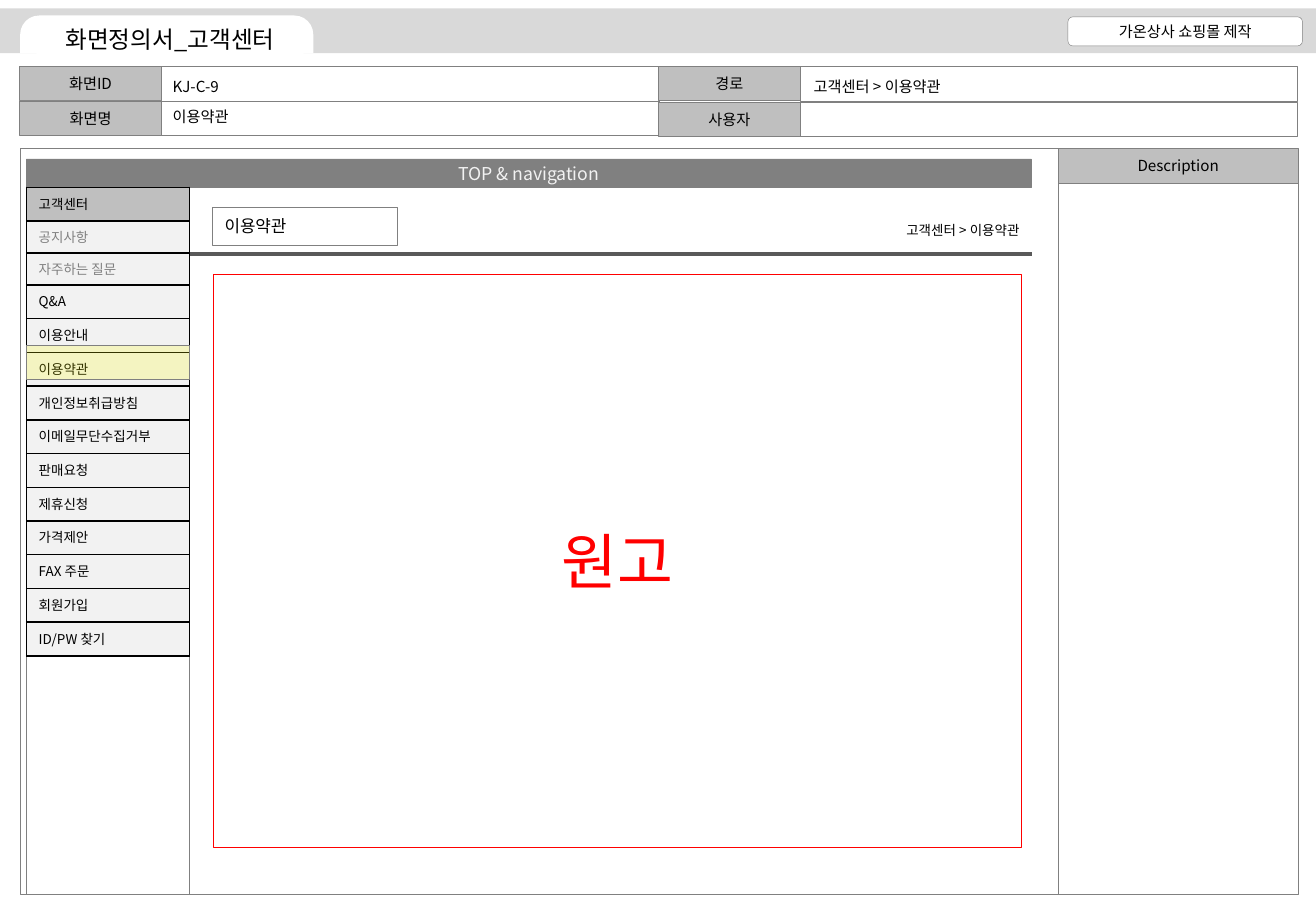
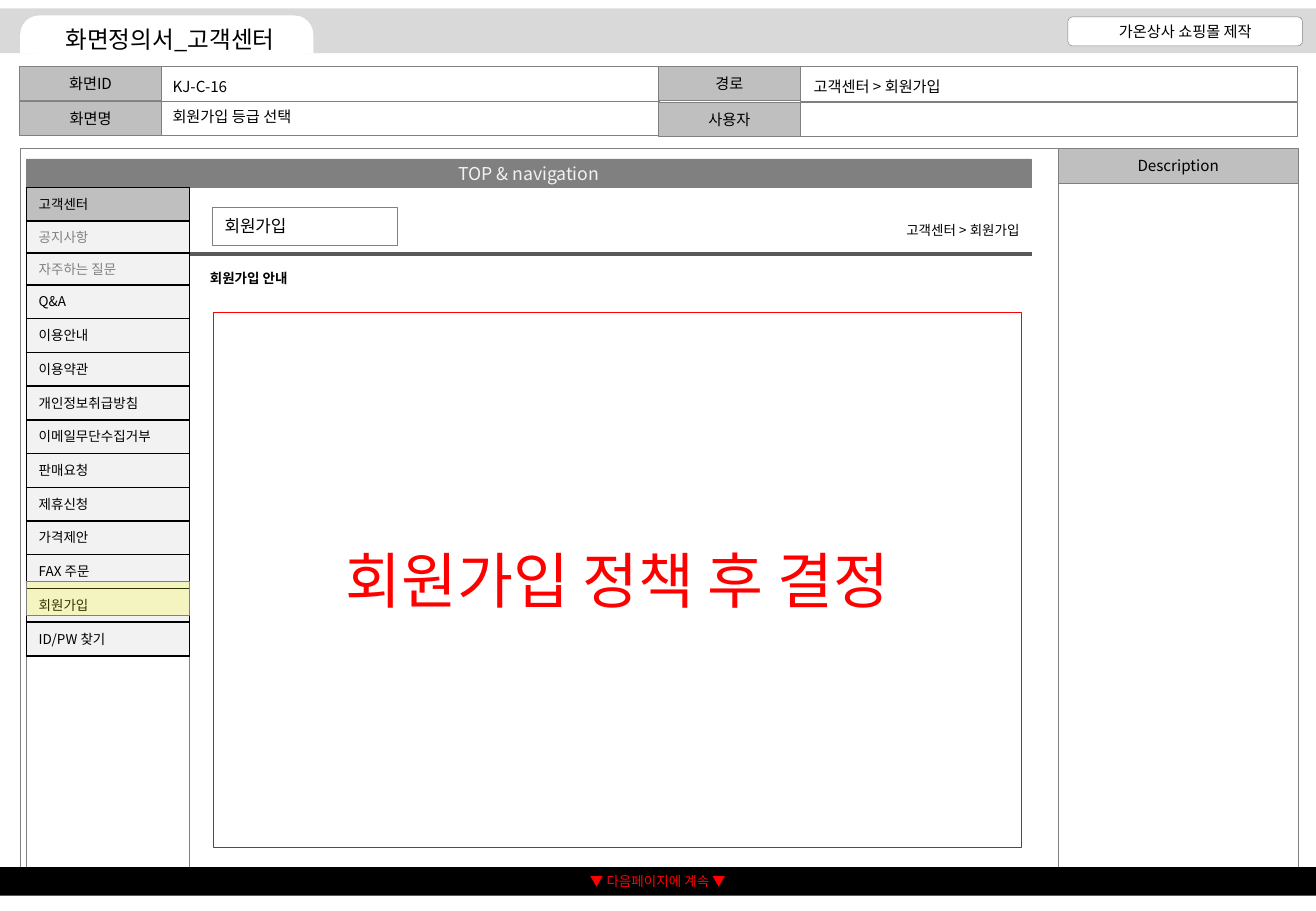
"""Build two screen-definition slides for a customer centre."""
import pptx
import pptx.dml.color
import pptx.enum.shapes
import pptx.enum.text
import pptx.oxml
import pptx.oxml.ns
import pptx.util

Pt = pptx.util.Pt
RGBColor = pptx.dml.color.RGBColor
SHAPE = pptx.enum.shapes.MSO_SHAPE
ALIGN = pptx.enum.text.PP_ALIGN
ANCHOR = pptx.enum.text.MSO_ANCHOR
AUTO_SIZE = pptx.enum.text.MSO_AUTO_SIZE
qn = pptx.oxml.ns.qn

FONT = "Noto Sans CJK KR"
BLACK = RGBColor(0x00, 0x00, 0x00)
WHITE = RGBColor(0xFF, 0xFF, 0xFF)
RED = RGBColor(0xFF, 0x00, 0x00)
YELLOW = RGBColor(0xFF, 0xFF, 0x00)
CHARCOAL = RGBColor(0x59, 0x59, 0x59)
GRAY = RGBColor(0x80, 0x80, 0x80)
SILVER = RGBColor(0xBF, 0xBF, 0xBF)
BAND = RGBColor(0xD9, 0xD9, 0xD9)
PALE = RGBColor(0xF2, 0xF2, 0xF2)

WIDTH, HEIGHT = 780, 540
MENU_LEFT, MENU_TOP, MENU_WIDTH = 15.7, 111, 96.7
MENU = ["고객센터", "공지사항", "자주하는 질문", "Q&A", "이용안내", "이용약관",
        "개인정보취급방침", "이메일무단수집거부", "판매요청", "제휴신청",
        "가격제안", "FAX 주문", "회원가입", "ID/PW 찾기"]
MUTED = ("공지사항", "자주하는 질문")


def write(frame, text, size=9, color=BLACK, bold=False, align=ALIGN.CENTER):
    paragraph = frame.paragraphs[0]
    paragraph.alignment = align
    run = paragraph.add_run()
    run.text = text
    run.font.name = FONT
    run.font.size = Pt(size)
    run.font.bold = bold
    run.font.color.rgb = color
    east_asian = run.font._element.makeelement(qn("a:ea"), {"typeface": FONT})
    run.font._element.find(qn("a:latin")).addnext(east_asian)


def add_child(parent, tag, **attributes):
    child = parent.makeelement(qn(tag), attributes)
    parent.append(child)
    return child


class Screen:
    def __init__(self, presentation):
        self.slide = presentation.slides.add_slide(presentation.slide_layouts[5])
        self.shapes = self.slide.shapes

    def box(self, left, top, width, height, fill=None, line=GRAY,
            kind=SHAPE.RECTANGLE, text=None, **style):
        shape = self.shapes.add_shape(kind, Pt(left), Pt(top), Pt(width), Pt(height))
        shape.shadow.inherit = False
        if fill is None:
            shape.fill.background()
        else:
            shape.fill.solid()
            shape.fill.fore_color.rgb = fill
        if line is None:
            shape.line.fill.background()
        else:
            shape.line.color.rgb = line
            shape.line.width = Pt(0.25)
        if text:
            shape.text_frame.vertical_anchor = ANCHOR.MIDDLE
            write(shape.text_frame, text, **style)
        return shape

    def label(self, left, top, width, text, height=18, align=ALIGN.LEFT, **style):
        shape = self.shapes.add_textbox(Pt(left), Pt(top), Pt(width), Pt(height))
        shape.text_frame.word_wrap = False
        shape.text_frame.auto_size = AUTO_SIZE.SHAPE_TO_FIT_TEXT
        write(shape.text_frame, text, align=align, **style)

    def rule(self, left, top, right):
        connector = self.shapes.add_connector(
            pptx.enum.shapes.MSO_CONNECTOR.STRAIGHT, Pt(left), Pt(top), Pt(right), Pt(top))
        connector.line.color.rgb = CHARCOAL
        connector.line.width = Pt(2.25)
        add_child(connector._element.spPr, "a:effectLst")

    def title(self, text):
        title = self.shapes.title
        title.left, title.top, title.width, title.height = map(Pt, (21.6, 14.6, 158.4, 17.3))
        title.fill.solid()
        title.fill.fore_color.rgb = WHITE
        title.text_frame.auto_size = AUTO_SIZE.NONE
        title.text_frame.vertical_anchor = ANCHOR.MIDDLE
        write(title.text_frame, text, size=14)
        self.shapes._spTree.append(title._element)

    def menu(self):
        heights = [19 if item in MUTED else 20 for item in MENU]
        frame = self.shapes.add_table(len(MENU), 1, Pt(MENU_LEFT), Pt(MENU_TOP),
                                      Pt(MENU_WIDTH), Pt(sum(heights)))
        table = frame.table
        table.first_row = table.horz_banding = False
        for index, (item, height) in enumerate(zip(MENU, heights)):
            table.rows[index].height = Pt(height)
            cell = table.cell(index, 0)
            write(cell.text_frame, item, size=8, align=ALIGN.LEFT,
                  color=GRAY if item in MUTED else BLACK)
            self.borders(cell)
            cell.fill.solid()
            cell.fill.fore_color.rgb = PALE if index else SILVER

    def borders(self, cell):
        properties = cell._tc.get_or_add_tcPr()
        for side in ("a:lnL", "a:lnR", "a:lnT", "a:lnB"):
            line = add_child(properties, side, w=str(Pt(1)))
            add_child(add_child(line, "a:solidFill"), "a:srgbClr", val=str(BLACK))

    def highlight(self, top):
        shape = self.box(MENU_LEFT, top, MENU_WIDTH, 20.2, fill=YELLOW)
        color = shape._element.spPr.find(qn("a:solidFill")).find(qn("a:srgbClr"))
        add_child(color, "a:alpha", val="20000")

    def header(self):
        columns = ((11.5, 59.8, ("화면ID", "화면명")), (390.2, 60.5, ("경로", "사용자")))
        for left, second_top, names in columns:
            for top, name in zip((39.4, second_top), names):
                self.box(left, top, 84.3, 20.2, fill=SILVER, text=name)
                self.box(left + 84.3, top, 294.7, 20.4)

    def frame(self):
        self.header()
        self.box(12, 88, 615.4, 442.2)
        self.box(627.3, 88, 142, 20.7, fill=SILVER, text="Description")
        self.box(627.3, 108.5, 142, 421.7)
        self.box(0, 5, WIDTH, 26.6, fill=BAND, line=None)
        tab = self.box(12, 9.2, 173.7, 22.4, fill=WHITE, line=None,
                       kind=SHAPE.ROUND_2_SAME_RECTANGLE)
        tab.adjustments[0] = 0.5
        self.box(MENU_LEFT, MENU_TOP, MENU_WIDTH, 419.2)
        self.box(MENU_LEFT, 94.2, 595.6, 17, fill=GRAY,
                 text="TOP & navigation", size=10.5, color=PALE)
        self.menu()
        self.rule(112.8, 150.8, 611.7)
        self.box(633, 10, 139, 17.2, fill=WHITE, kind=SHAPE.ROUNDED_RECTANGLE,
                 text="가온상사 쇼핑몰 제작")
        self.title("화면정의서_고객센터")

    def page(self, code, name, section, draft, draft_top, highlight_top):
        trail = f"고객센터 > {section}"
        self.frame()
        self.box(126, 122.7, 109.5, 22.5, text=section, size=10, align=ALIGN.LEFT)
        self.label(520.8, 128.2, 90.7, trail, height=17, size=8, align=ALIGN.RIGHT)
        self.box(126.3, draft_top, 479.2, 502.2 - draft_top, line=RED,
                 text=draft, size=36, color=RED)
        self.label(95.2, 60, 94 if " " in name else 51, name)
        self.label(475.2, 42, 100, trail)
        self.label(95.2, 42, 54, code)
        self.highlight(highlight_top)


presentation = pptx.Presentation()
presentation.slide_width = Pt(WIDTH)
presentation.slide_height = Pt(HEIGHT)

terms = Screen(presentation)
terms.page("KJ-C-9", "이용약관", "이용약관", "원고", 162.3, 204.7)

signup = Screen(presentation)
signup.page("KJ-C-16", "회원가입 등급 선택", "회원가입", "회원가입 정책 후 결정", 185, 344.7)
signup.label(117.3, 156.6, 66.3, "회원가입 안내", height=17, size=8, bold=True)
signup.box(0, 514, WIDTH, 17, fill=BLACK, line=None,
           text="▼ 다음페이지에 계속 ▼", size=8, color=RED)

presentation.save("out.pptx")
